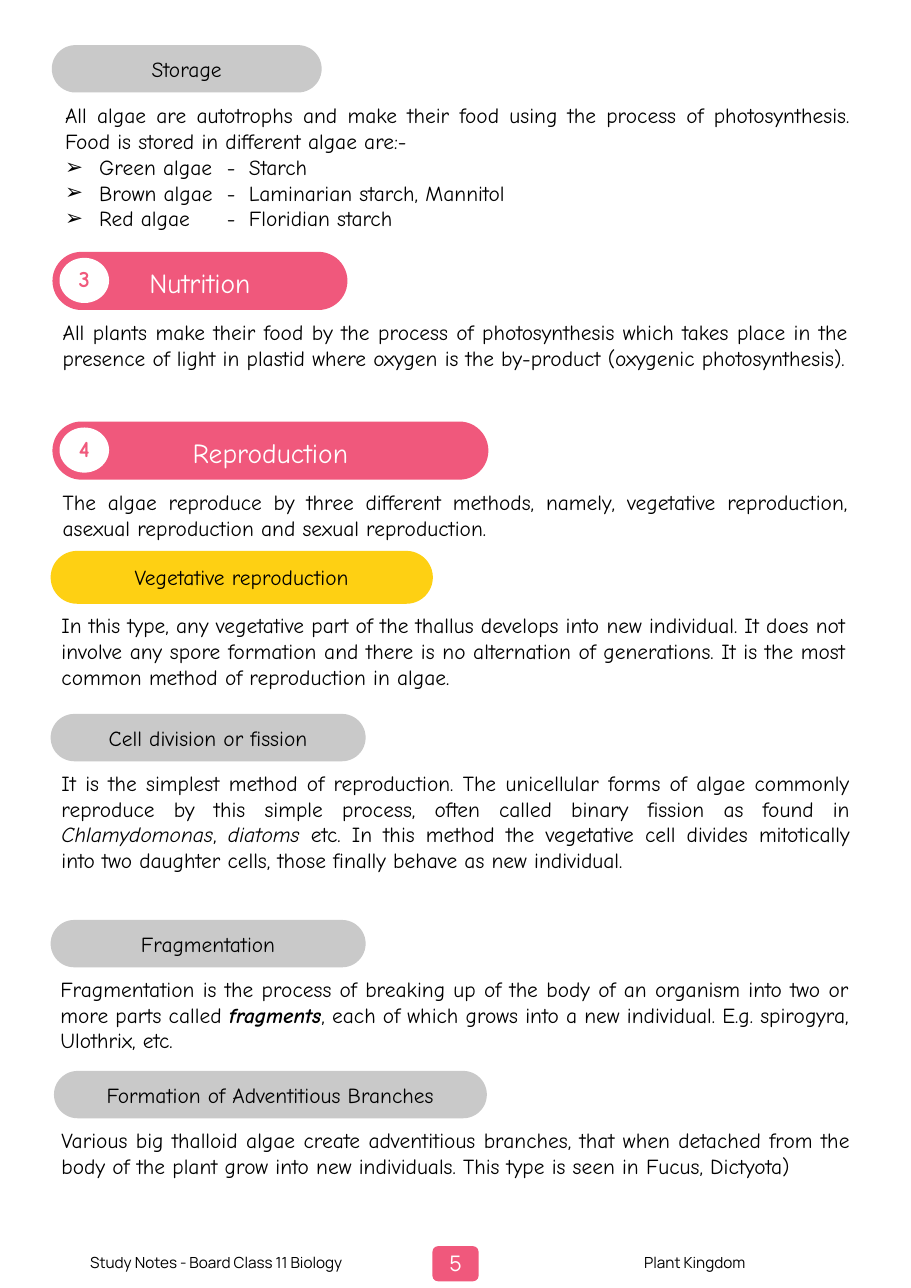
from lxml.etree import SubElement
from pptx import Presentation
from pptx.dml.color import RGBColor
from pptx.enum.shapes import MSO_SHAPE
from pptx.enum.text import MSO_ANCHOR, MSO_AUTO_SIZE, PP_ALIGN
from pptx.oxml.ns import qn
from pptx.util import Inches, Pt

PINK, GREY, YELLOW = "F0587C", "C9C9C9", "FED013"
BLACK, WHITE, BADGE_PINK = "000000", "FFFFFF", "F0597C"
BODY = {"name": "Comic Neue", "size": Pt(14)}
SECTION = {"name": "Comic Neue", "size": Pt(18)}
BADGE = {"name": "Comic Neue", "size": Pt(15), "bold": True}
FOOTER = {"name": "Manrope", "size": Pt(10)}
PAGE = {"name": "Manrope", "size": Pt(14)}
ITALIC = {"italic": True}
STRONG = {"bold": True, "italic": True}


def rgb(value):
    return RGBColor.from_string(value)


def place(sp, box):
    for name, value in zip(("left", "top", "width", "height"), box):
        setattr(sp, name, Inches(value))


def set_frame(tf, anchor, inset=0.04):
    formats = {"word_wrap": True, "auto_size": MSO_AUTO_SIZE.NONE,
               "vertical_anchor": anchor}
    formats.update({f"margin_{side}": Inches(inset)
                    for side in ("left", "right", "top", "bottom")})
    for name, value in formats.items():
        setattr(tf, name, value)


def write(p, runs, font, color=BLACK, align=PP_ALIGN.CENTER):
    p.alignment = align
    p.space_before = Pt(0)
    for text, extra in runs:
        r = p.add_run()
        r.text = text
        r.font.color.rgb = rgb(color)
        for name, value in {**font, **extra}.items():
            setattr(r.font, name, value)


def add_block(s, kind, box, fill, line=None):
    sp = s.shapes.add_shape(kind, *map(Inches, box))
    sp.shadow.inherit = False
    sp.fill.solid()
    sp.fill.fore_color.rgb = rgb(fill)
    if line:
        sp.line.color.rgb = rgb(line)
        sp.line.width = Pt(2)
    else:
        sp.line.fill.background()
    return sp


def add_pill(s, box, fill, text="", font=BODY, color=BLACK,
             anchor=MSO_ANCHOR.MIDDLE, line=None):
    sp = add_block(s, MSO_SHAPE.ROUNDED_RECTANGLE, box, fill, line)
    sp.adjustments[0] = 0.5
    set_frame(sp.text_frame, anchor)
    if text:
        write(sp.text_frame.paragraphs[0], [(text, {})], font, color)


def add_label(s, box, text, font, color=BLACK):
    tf = s.shapes.add_textbox(*map(Inches, box)).text_frame
    set_frame(tf, MSO_ANCHOR.MIDDLE)
    write(tf.paragraphs[0], [(text, {})], font, color)


def add_passage(s, box, runs):
    tf = s.shapes.add_textbox(*map(Inches, box)).text_frame
    tf.word_wrap = True
    write(tf.paragraphs[0], runs, BODY, align=PP_ALIGN.JUSTIFY)


def set_bullet(p, char=None, indent=0.0, stops=()):
    pPr = p._p.get_or_add_pPr()
    pPr.set("marL", str(Inches(indent)))
    pPr.set("indent", str(-Inches(indent)))
    if char is None:
        SubElement(pPr, qn("a:buNone"))
        return
    SubElement(pPr, qn("a:buChar"), char=char)
    tabs = SubElement(pPr, qn("a:tabLst"))
    for stop in stops:
        SubElement(tabs, qn("a:tab"), pos=str(Inches(stop)), algn="l")


def storage(s, box, title, intro, foods):
    x, y, w, h = box
    pill = (x, y, 2.45, 0.43)
    add_pill(s, pill, GREY)
    heading, body = s.shapes.title, s.placeholders[1]
    s.shapes._spTree.append(heading._element)
    place(heading, pill)
    set_frame(heading.text_frame, MSO_ANCHOR.MIDDLE)
    write(heading.text_frame.paragraphs[0], [(title, {})], BODY)

    place(body, (x + 0.02, y + 0.47, w - 0.02, h - 0.47))
    tf = body.text_frame
    set_frame(tf, MSO_ANCHOR.TOP)
    tf.margin_left = tf.margin_right = Inches(0.1)
    tf.margin_top = Inches(0.05)
    p = tf.paragraphs[0]
    write(p, [(intro, {})], BODY, align=PP_ALIGN.JUSTIFY)
    set_bullet(p)
    for alga, food in foods:
        p = tf.add_paragraph()
        write(p, [(f"{alga}\t-\t{food}", {})], BODY, align=PP_ALIGN.LEFT)
        set_bullet(p, "➢", 0.31, (1.47, 1.67))


def section(s, box, pill_w, number, title, text):
    x, y, w, h = box
    add_pill(s, (x, y, pill_w, 0.5), PINK, title, SECTION, WHITE,
             MSO_ANCHOR.TOP, PINK)
    badge = add_block(s, MSO_SHAPE.OVAL, (x + 0.05, y + 0.04, 0.45, 0.41), WHITE)
    set_frame(badge.text_frame, MSO_ANCHOR.MIDDLE)
    p = badge.text_frame.paragraphs[0]
    write(p, [(number, {})], BADGE, BADGE_PINK)
    p.line_spacing = 0.9
    add_passage(s, (x - 0.02, y + 0.55, w, h - 0.55), [(text, {})])


def topic(s, box, pill_size, fill, title, runs, shift=0.0):
    x, y, w, h = box
    pill_w, pill_h = pill_size
    add_pill(s, (x, y, pill_w, pill_h), fill, title)
    top = pill_h + 0.03
    add_passage(s, (x + shift, y + top, w, h - top), runs)


def footer(s, box, left_text, page, right_text):
    x, y, w, h = box
    tab_w = 0.42
    side = (w - tab_w) / 2
    add_block(s, MSO_SHAPE.ROUNDED_RECTANGLE,
              (x + side, y + 0.09, tab_w, 0.32), PINK)
    add_label(s, (x + side, y, tab_w, h), page, PAGE, WHITE)
    add_label(s, (x, y, side, h), left_text, FOOTER)
    add_label(s, (x + side + tab_w, y, side, h), right_text, FOOTER)


def main():
    prs = Presentation()
    prs.slide_width, prs.slide_height = Inches(8.27), Inches(11.69)
    s = prs.slides.add_slide(prs.slide_layouts[1])

    storage(s, (0.47, 0.41, 7.35, 1.75), "Storage",
            "All algae are autotrophs and make their food using the process of "
            "photosynthesis. Food is stored in different algae are:-",
            [("Green algae", "Starch"),
             ("Brown algae", "Laminarian starch, Mannitol"),
             ("Red algae", "Floridian starch")])
    section(s, (0.49, 2.3, 7.33, 1.36), 2.65, "3", "Nutrition",
            "All plants make their food by the process of photosynthesis which "
            "takes place in the presence of light in plastid where oxygen is the "
            "by-product (oxygenic photosynthesis).")
    section(s, (0.49, 3.84, 7.33, 1.12), 3.93, "4", "Reproduction",
            "The algae reproduce by three different methods, namely, vegetative "
            "reproduction, asexual reproduction and sexual reproduction.")
    topic(s, (0.46, 5, 7.32, 1.33), (3.47, 0.48), YELLOW, "Vegetative reproduction",
          [("In this type, any vegetative part of the thallus develops into new "
            "individual. It does not involve any spore formation and there is no "
            "alternation of generations. It is the most common method of "
            "reproduction in algae.", {})])
    topic(s, (0.46, 6.48, 7.36, 1.73), (2.86, 0.43), GREY, "Cell division or fission",
          [("It is the simplest method of reproduction. The unicellular forms of "
            "algae commonly reproduce by this simple process, often called binary "
            "fission as found in ", {}),
           ("Chlamydomonas", ITALIC), (", ", {}), ("diatoms", ITALIC),
           (" etc. In this method the vegetative cell divides mitotically into two "
            "daughter cells, those finally behave as new individual.", {})])
    topic(s, (0.46, 8.35, 7.36, 1.26), (2.86, 0.43), GREY, "Fragmentation",
          [("Fragmentation is the process of breaking up of the body of an organism "
            "into two or more parts called ", {}),
           ("fragments", STRONG),
           (", each of which grows into a new individual. E.g. spirogyra, "
            "Ulothrix, etc.", {})], -0.01)
    topic(s, (0.49, 9.72, 7.36, 1.27), (3.93, 0.43), GREY,
          "Formation of Adventitious Branches",
          [("Various big thalloid algae create adventitious branches, that when "
            "detached from the body of the plant grow into new individuals. This "
            "type is seen in Fucus, Dictyota)", {})], -0.03)
    footer(s, (0, 11.22, 8.27, 0.48), "Study Notes - Board Class 11 Biology", "5",
           "Plant Kingdom")
    prs.save("out.pptx")


if __name__ == "__main__":
    main()
